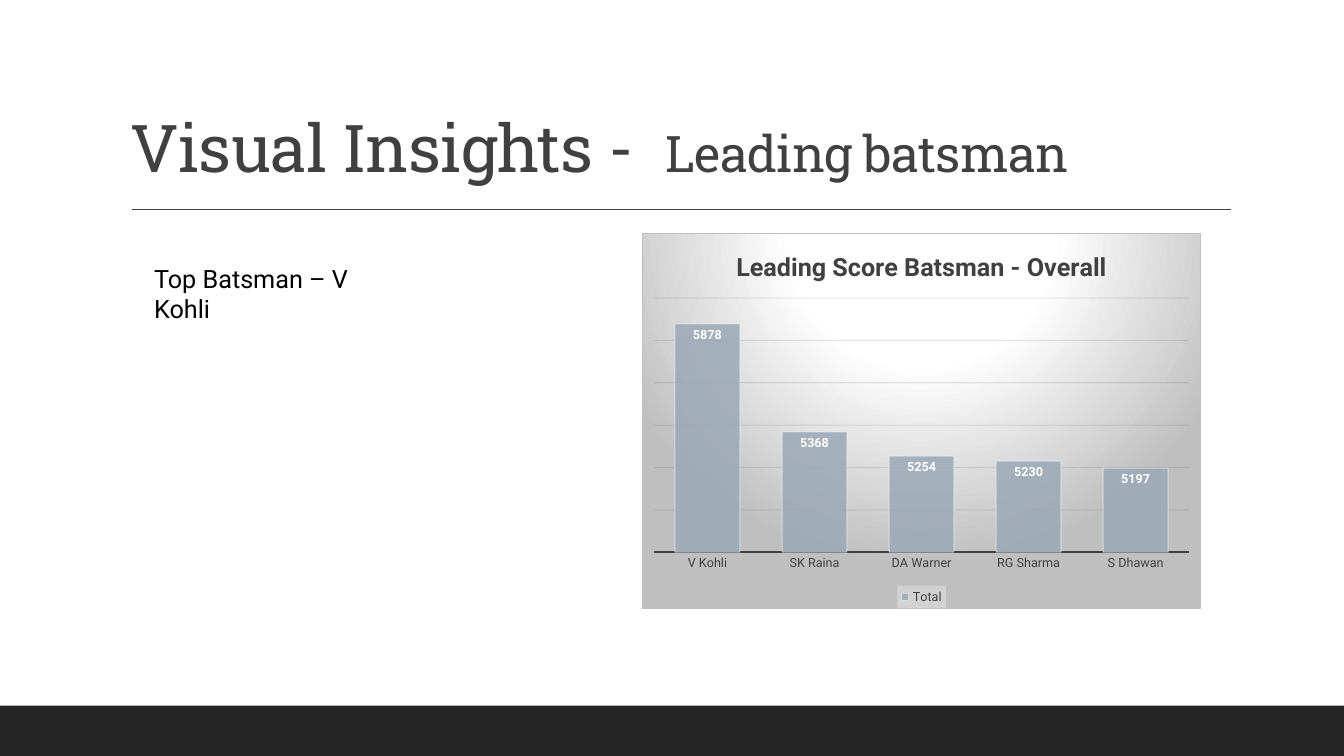
import pptx
import pptx.chart.data
import pptx.dml.color
import pptx.enum.chart
import pptx.enum.shapes
import pptx.enum.text
import pptx.oxml
import pptx.oxml.ns
import pptx.util
from pptx.util import Inches

RGBColor = pptx.dml.color.RGBColor
Pt = pptx.util.Pt
qn = pptx.oxml.ns.qn

BLACK = RGBColor(0x00, 0x00, 0x00)
INK = RGBColor(0x0D, 0x0D, 0x0D)
DARK = RGBColor(0x26, 0x26, 0x26)
GRAY = RGBColor(0x40, 0x40, 0x40)
PALE = RGBColor(0xF2, 0xF2, 0xF2)
WHITE = RGBColor(0xFF, 0xFF, 0xFF)
STEEL = RGBColor(0x9B, 0xA8, 0xB7)
SILVER = RGBColor(0xBF, 0xBF, 0xBF)

SCORES = {"V Kohli": 5878, "SK Raina": 5368, "DA Warner": 5254,
          "RG Sharma": 5230, "S Dhawan": 5197}


def style(font, size, color, face="Roboto", bold=False):
    """Set size, colour, face and weight of a font."""
    font.size = Pt(size)
    font.color.rgb = color
    font.name = face
    font.bold = bold


def fade(node, percent):
    """Make every colour below the node partly transparent."""
    for color in node.iter(qn("a:srgbClr")):
        alpha = color.makeelement(qn("a:alpha"), {"val": str(percent * 1000)})
        color.append(alpha)


def stroke(line, color, width):
    """Set colour and width of a line."""
    line.color.rgb = color
    line.width = Pt(width)


def add_bar(slide):
    """Draw the dark footer bar."""
    bar = slide.shapes.add_shape(
        pptx.enum.shapes.MSO_SHAPE.RECTANGLE,
        Inches(0), Inches(7), Inches(13.33), Inches(0.5))
    bar.shadow.inherit = False
    bar.fill.solid()
    bar.fill.fore_color.rgb = DARK
    bar.line.fill.background()


def add_rule(slide):
    """Draw the thin rule under the title."""
    rule = slide.shapes.add_connector(
        pptx.enum.shapes.MSO_CONNECTOR.STRAIGHT,
        Inches(1.31), Inches(2.08), Inches(12.21), Inches(2.08))
    stroke(rule.line, GRAY, 1)
    props = rule._element.spPr
    props.append(props.makeelement(qn("a:effectLst"), {}))


def add_text(slide, box, parts, face, color):
    """Add a wrapped text box of (text, size) parts and return it."""
    shape = slide.shapes.add_textbox(*map(Inches, box))
    frame = shape.text_frame
    frame.word_wrap = True
    for text, size in parts:
        run = frame.paragraphs[0].add_run()
        run.text = text
        style(run.font, size, color, face)
    return shape


def add_title(slide):
    """Write the two-size title on the rule."""
    parts = [("Visual Insights -  ", 47), ("Leading batsman", 36)]
    box = (1.2, 0.31, 11, 1.59)
    frame = add_text(slide, box, parts, "Roboto Slab", GRAY).text_frame
    frame.vertical_anchor = pptx.enum.text.MSO_ANCHOR.BOTTOM
    line = frame.paragraphs[0]
    line.line_spacing = 0.9
    for run in line.runs:
        run.font._element.set("spc", "-50")


def fill_back(chart):
    """Give the chart a round gradient and a thin border."""
    stops = "".join(
        f'<a:gs pos="{place * 1000}"><a:srgbClr val="{color}"/></a:gs>'
        for place, color in [(0, WHITE), (39, WHITE), (100, SILVER)])
    props = pptx.oxml.parse_xml(
        f'<c:spPr {pptx.oxml.ns.nsdecls("c", "a")}>'
        f'<a:gradFill><a:gsLst>{stops}</a:gsLst><a:path path="circle">'
        '<a:fillToRect l="50000" t="-80000" r="50000" b="180000"/>'
        '</a:path></a:gradFill><a:ln w="9525"><a:solidFill>'
        f'<a:srgbClr val="{SILVER}"/></a:solidFill></a:ln></c:spPr>')
    chart._chartSpace.find(qn("c:chart")).addnext(props)


def set_axes(chart):
    """Style the name axis and the hidden score axis."""
    names = chart.category_axis
    names.major_tick_mark = pptx.enum.chart.XL_TICK_MARK.NONE
    names.has_major_gridlines = False
    style(names.tick_labels.font, 9, GRAY)
    stroke(names.format.line, GRAY, 1.5)
    scale = chart.value_axis
    scale.minimum_scale, scale.maximum_scale = 4800, 6000
    scale.major_unit = 200
    scale.visible = False
    scale.has_major_gridlines = True
    stroke(scale.major_gridlines.format.line, INK, 0.75)
    fade(scale._element.find(qn("c:majorGridlines")), 10)


def set_bars(plot):
    """Style the columns and their score labels."""
    plot.gap_width = 65
    plot.vary_by_categories = False
    bars = plot.series[0]
    bars.format.fill.solid()
    bars.format.fill.fore_color.rgb = STEEL
    stroke(bars.format.line, WHITE, 0.75)
    props = bars._element.find(qn("c:spPr"))
    fade(props.find(qn("a:solidFill")), 85)
    fade(props.find(qn("a:ln")), 50)
    labels = bars.data_labels
    labels.show_value = True
    labels.position = pptx.enum.chart.XL_LABEL_POSITION.INSIDE_END
    style(labels.font, 9, WHITE, bold=True)


def set_key(chart):
    """Place the legend below on a pale panel."""
    chart.has_legend = True
    key = chart.legend
    key.position = pptx.enum.chart.XL_LEGEND_POSITION.BOTTOM
    key.include_in_layout = False
    style(key.font, 9, GRAY)
    panel = pptx.oxml.parse_xml(
        f'<c:spPr {pptx.oxml.ns.nsdecls("c", "a")}><a:solidFill>'
        f'<a:srgbClr val="{PALE}"/></a:solidFill></c:spPr>')
    fade(panel, 39)
    key._element.find(qn("c:txPr")).addprevious(panel)


def add_chart(slide):
    """Add the column chart of leading scores."""
    data = pptx.chart.data.CategoryChartData()
    data.categories = list(SCORES)
    data.add_series("Total", list(SCORES.values()))
    chart = slide.shapes.add_chart(
        pptx.enum.chart.XL_CHART_TYPE.COLUMN_CLUSTERED,
        Inches(6.37), Inches(2.31), Inches(5.54), Inches(3.73), data).chart
    style(chart.font, 10, BLACK)
    fill_back(chart)
    chart.has_title = True
    frame = chart.chart_title.text_frame
    frame.text = "Leading Score Batsman - Overall"
    style(frame.paragraphs[0].runs[0].font, 18, GRAY, bold=True)
    set_axes(chart)
    set_bars(chart.plots[0])
    set_key(chart)


def main():
    """Build the slide and save it."""
    deck = pptx.Presentation()
    deck.slide_width, deck.slide_height = Inches(13.33), Inches(7.5)
    slide = deck.slides.add_slide(deck.slide_layouts[6])
    add_bar(slide)
    add_rule(slide)
    add_title(slide)
    add_text(slide, (1.43, 2.56, 2.6, 0.4), [("Top Batsman – V Kohli", 18)],
             "Roboto", BLACK)
    add_chart(slide)
    deck.save("out.pptx")


if __name__ == "__main__":
    main()
